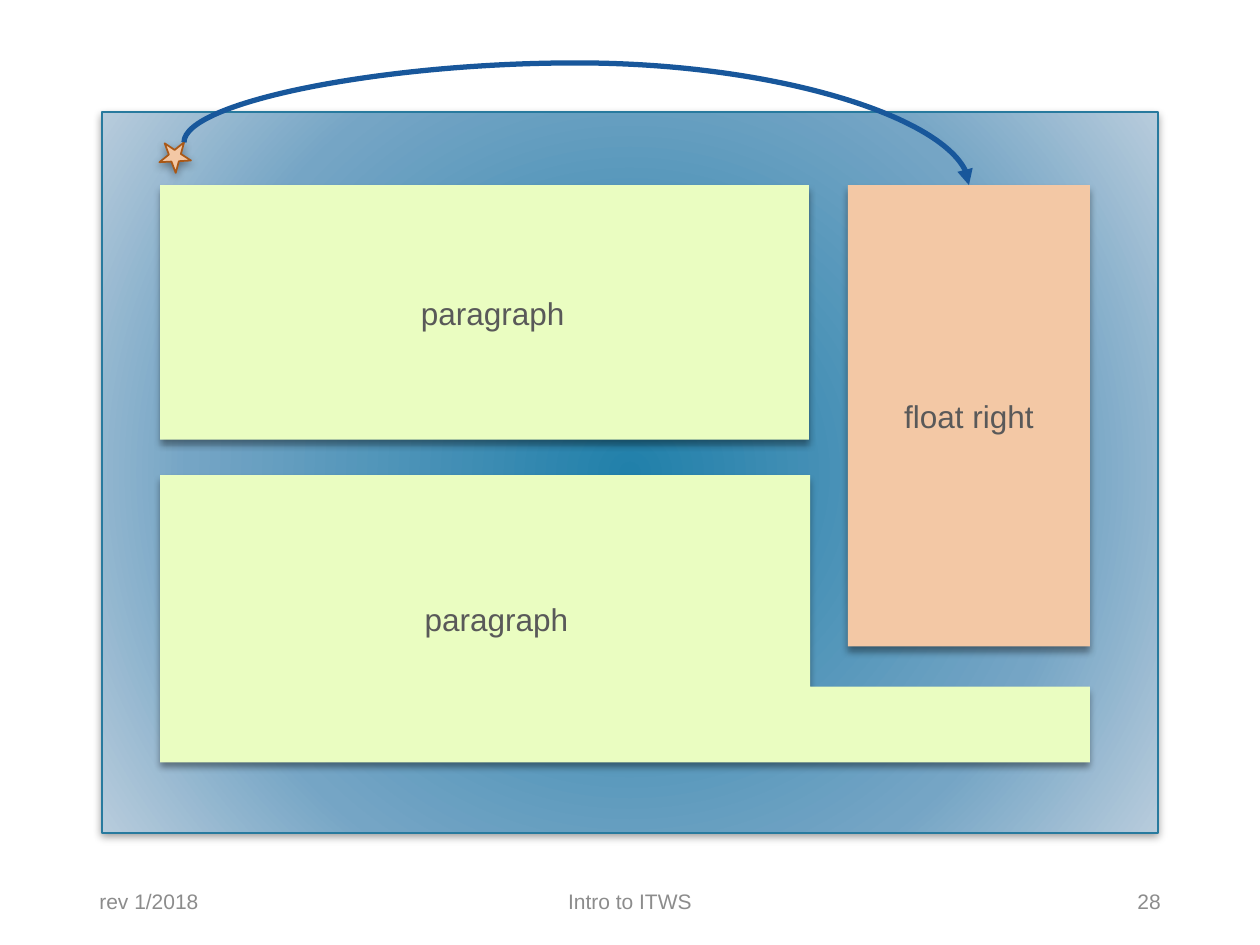
from lxml import etree
from pptx import Presentation, util as u
from pptx.dml.color import RGBColor
from pptx.enum import shapes, text
from pptx.oxml import parse_xml
from pptx.oxml.ns import nsdecls, qn

COLS, ROWS = 100, 75
LIME, PEACH, BLUE = "EAFDC1", "F3C8A5", "18579B"
INK, GREY = "595959", "8C8C8C"
ALIGN, KIND = text.PP_ALIGN, shapes.MSO_SHAPE


def color(hex_code):
    """Turn a hex string into a colour."""
    return RGBColor.from_string(hex_code)


class Canvas:
    """The current slide, its grid and its style."""

    font = "Arial"

    def __init__(self, prs):
        """Add a blank slide and work out the grid cell."""
        self.s = prs.slides.add_slide(prs.slide_layouts[6])
        self.col, self.row = prs.slide_width / COLS, prs.slide_height / ROWS

    def place(self, *lengths):
        """Turn alternating columns and rows into slide units."""
        return [u.Emu(round(n * (self.row if i % 2 else self.col)))
                for i, n in enumerate(lengths)]

    def style(self, sp, fill=None, line=None, blur=4, dist=3):
        """Set fill, outline and a soft shadow falling downwards."""
        if fill:
            sp.fill.solid()
            sp.fill.fore_color.rgb = color(fill)
        if line:
            sp.line.color.rgb = color(line)
            sp.line.width = u.Pt(1)
        else:
            sp.line.fill.background()
        sp.shadow.inherit = False
        sp._element.spPr.find(qn("a:effectLst")).append(parse_xml(
            f'<a:outerShdw {nsdecls("a")} blurRad="{u.Pt(blur)}" dist="{u.Pt(dist)}" '
            'dir="5400000" rotWithShape="0"><a:srgbClr val="000000">'
            '<a:alpha val="40000"/></a:srgbClr></a:outerShdw>'))

    def label(self, sp, words, size=18, ink=INK, align=ALIGN.CENTER, inset=1):
        """Put one line of text in a shape, inset from its left by columns."""
        tf = sp.text_frame
        tf.word_wrap = True
        tf.vertical_anchor = text.MSO_ANCHOR.MIDDLE
        tf.margin_left = self.place(inset)[0]
        p = tf.paragraphs[0]
        p.text, p.alignment = words, align
        p.font.name, p.font.size = self.font, u.Pt(size)
        p.font.color.rgb = color(ink)

    def shape(self, kind, box, **style):
        """Add a preset shape."""
        sp = self.s.shapes.add_shape(kind, *self.place(*box))
        self.style(sp, **style)
        return sp

    def outline(self, points, **style):
        """Add a closed polygon."""
        points = [self.place(*point) for point in points]
        builder = self.s.shapes.build_freeform(*points[0])
        builder.add_line_segments(points[1:], close=True)
        sp = builder.convert_to_shape()
        self.style(sp, **style)
        return sp

    def radial(self, sp, stops):
        """Fill a shape with a gradient running out from its centre."""
        sp.fill.background()
        marks = "".join(f'<a:gs pos="{pos * 1000}"><a:srgbClr val="{code}"/></a:gs>'
                        for pos, code in stops)
        spPr = sp._element.spPr
        spPr.replace(spPr.find(qn("a:noFill")), parse_xml(
            f'<a:gradFill {nsdecls("a")} rotWithShape="1"><a:gsLst>{marks}</a:gsLst>'
            '<a:path path="circle"><a:fillToRect l="50000" t="50000" r="50000" '
            'b="50000"/></a:path></a:gradFill>'))

    def arc(self, tip, end, peak, ink, width):
        """Curve over the slide up to the row peak, with an arrowhead at tip."""
        rise, span = tip[1] - end[1], tip[0] - end[0]
        x, y = (tip[0] + end[0]) / 2, (tip[1] + end[1]) / 2
        c = self.s.shapes.add_connector(
            shapes.MSO_CONNECTOR.CURVE,
            *self.place(x - rise / 2, y + span / 2, x + rise / 2, y - span / 2))
        c.line.color.rgb = color(ink)
        c.line.width = u.Pt(width)
        spPr = c._element.spPr
        spPr.find(qn("a:xfrm")).set("rot", str(270 * 60000))
        bend = round((tip[1] - peak) / rise * 100000)
        guides = spPr.find(qn("a:prstGeom")).get_or_add_avLst()
        etree.SubElement(guides, qn("a:gd"), name="adj1", fmla=f"val {bend}")
        etree.SubElement(spPr.find(qn("a:ln")), qn("a:headEnd"), type="triangle")
        etree.SubElement(spPr, qn("a:effectLst"))

    def footer(self, box, words, align):
        """Add a small grey text box."""
        self.label(self.s.shapes.add_textbox(*self.place(*box)), words, 12, GREY, align)


def main():
    """Build the slide."""
    prs = Presentation()
    prs.slide_width, prs.slide_height = u.Inches(10), u.Inches(7.5)
    canvas = Canvas(prs)
    left, notch, right = 12.7, 64.3, 86.5
    top, float_left = 14.7, 67.3

    page = canvas.shape(KIND.RECTANGLE, (8.1, 8.9, 83.8, 57.2),
                        line="287A9E", blur=5, dist=2)
    canvas.radial(page, [(0, "2180AA"), (69, "75A5C5"), (100, "B8CCDC")])

    floated = canvas.shape(KIND.RECTANGLE, (float_left, top, right - float_left, 36.6),
                           fill=PEACH)
    canvas.label(floated, "float right")

    wrapped = canvas.outline([(left, 37.7), (notch, 37.7), (notch, 54.5),
                              (right, 54.5), (right, 60.5), (left, 60.5)], fill=LIME)
    canvas.label(wrapped, "paragraph", align=ALIGN.LEFT, inset=21)

    first = canvas.shape(KIND.RECTANGLE, (left, top, notch - left - 0.1, 20.2), fill=LIME)
    canvas.label(first, "paragraph", inset=2.3)

    star = canvas.shape(KIND.STAR_5_POINT, (left, 11.1, 2.5, 2.4),
                        fill=PEACH, line="AA5816", blur=5, dist=2)
    star.rotation = 33.2
    canvas.arc(((float_left + right) / 2, top), (14.6, 11.3), 5, BLUE, 3)

    for x, width, words, align in [(6.9, 26.9, "rev 1/2018", ALIGN.LEFT),
                                   (38.1, 23.8, "Intro to ITWS", ALIGN.CENTER),
                                   (66.2, 26.9, "28", ALIGN.RIGHT)]:
        canvas.footer((x, 69.5, width, 4), words, align)
    prs.save("out.pptx")


main()
